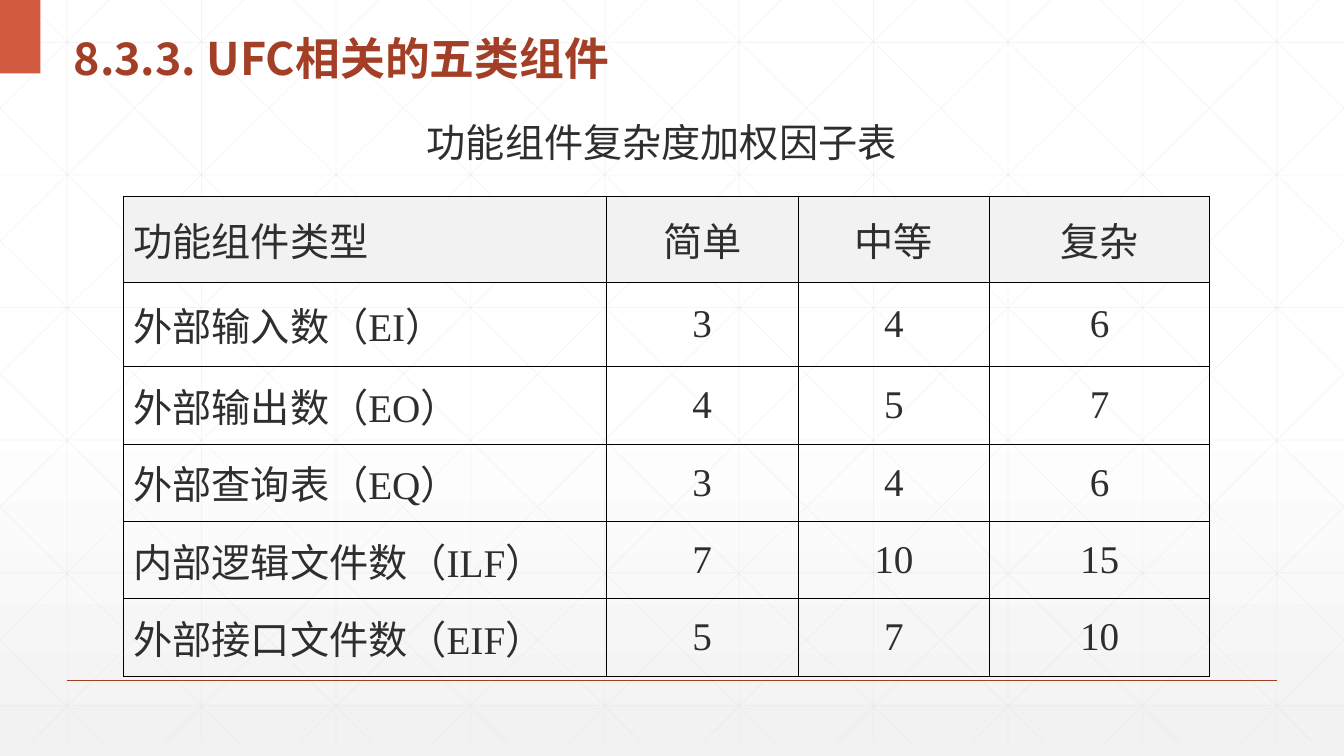
from dataclasses import dataclass

from lxml import etree
from pptx import Presentation
from pptx import util as u
from pptx.dml.color import RGBColor
from pptx.enum import shapes, text
from pptx.oxml import parse_xml
from pptx.oxml.ns import nsdecls, qn

WIDTH, HEIGHT = 33.87, 19.05
SANS, SERIF = "Noto Sans CJK SC", "Times New Roman"
INK, RUST, CORAL, GRID, PALE = "2D2E2D", "A43F27", "D15A3E", "D9D9D9", "F2F2F2"

PITCH = WIDTH / 10  # gap between grid columns
ROW_PITCH = 3.34
GRID_BOTTOM = 18.72
SLANT_START = 0.63  # first diagonal at the top edge
SLANT_RUN = 18.93  # horizontal travel of a full diagonal

HEADER = ("功能组件类型", "简单", "中等", "复杂")
COLUMN_WIDTHS = (12.17, 4.83, 4.83, 5.54)
ROW_HEIGHTS = (2.16, 2.13, 1.95, 1.95, 1.95, 1.95)


@dataclass
class Line:
    x1: float
    y1: float
    x2: float
    y2: float


@dataclass
class Component:
    label: str
    simple: int
    medium: int
    complex: int


COMPONENTS = [
    Component("外部输入数（EI）", 3, 4, 6),
    Component("外部输出数（EO）", 4, 5, 7),
    Component("外部查询表（EQ）", 3, 4, 6),
    Component("内部逻辑文件数（ILF）", 7, 10, 15),
    Component("外部接口文件数（EIF）", 5, 7, 10),
]


def set_color(color_format, value: str) -> None:
    color_format.rgb = RGBColor.from_string(value)


def set_fill(fill, value: str) -> None:
    fill.solid()
    set_color(fill.fore_color, value)


def write(frame, words: str, size: float, font: str, color: str,
          align=text.PP_ALIGN.LEFT, bold: bool = False) -> None:
    frame.text = words
    frame.paragraphs[0].alignment = align
    run = frame.paragraphs[0].runs[0]
    run.font.size, run.font.name, run.font.bold = u.Pt(size), font, bold
    set_color(run.font.color, color)
    run.font.fill  # keeps the colour ahead of the typeface elements
    latin = run.font._element.find(qn("a:latin"))
    latin.addnext(parse_xml(f'<a:ea {nsdecls("a")} typeface="{SANS}"/>'))


def draw_line(parent, line: Line, color: str, width: float, opacity: int = 100) -> None:
    ends = [u.Cm(v) for v in (line.x1, line.y1, line.x2, line.y2)]
    connector = parent.add_connector(shapes.MSO_CONNECTOR.STRAIGHT, *ends)
    set_color(connector.line.color, color)
    connector.line.width = u.Pt(width)
    properties = connector.element.spPr
    if opacity < 100:
        tint = next(properties.iter(qn("a:srgbClr")))
        etree.SubElement(tint, qn("a:alpha")).set("val", str(opacity * 1000))
    etree.SubElement(properties, qn("a:effectLst"))


def slanted(start: float) -> Line:
    """Diagonal from the top edge, clipped to the slide's sides."""
    slope = GRID_BOTTOM / SLANT_RUN
    left, right = max(start, 0), min(start + SLANT_RUN, WIDTH)
    return Line(left, (left - start) * slope, right, (right - start) * slope)


def grid_lines() -> list[Line]:
    columns = [Line(x, 0, x, GRID_BOTTOM) for x in (PITCH * (i + 0.5) for i in range(10))]
    rows = [Line(0, y, WIDTH, y) for y in (1.07 + ROW_PITCH * i for i in range(6))]
    falling = [slanted(SLANT_START + PITCH * i) for i in range(-5, 10)]
    rising = [Line(WIDTH - d.x1, d.y1, WIDTH - d.x2, d.y2) for d in falling]
    return columns + rows + falling + rising


def paint_background(slide) -> None:
    fill = slide.background.fill
    fill.gradient()
    fill.gradient_angle = 270
    stops = next(slide.element.iter(qn("a:gsLst")))
    stops.getparent().replace(stops, parse_xml(
        f'<a:gsLst {nsdecls("a")}>'
        '<a:gs pos="0"><a:srgbClr val="FFFFFF"/></a:gs>'
        '<a:gs pos="53000"><a:srgbClr val="FFFFFF"/></a:gs>'
        f'<a:gs pos="100000"><a:srgbClr val="{PALE}"><a:alpha val="65000"/></a:srgbClr></a:gs>'
        '</a:gsLst>'))


def add_borders(cell) -> None:
    properties = cell._tc.get_or_add_tcPr()
    for side in ("lnL", "lnR", "lnT", "lnB"):
        properties.append(parse_xml(
            f'<a:{side} {nsdecls("a")} w="{u.Pt(0.75)}"><a:solidFill>'
            f'<a:srgbClr val="000000"/></a:solidFill></a:{side}>'))


def add_factor_table(slide) -> None:
    records = [HEADER] + [(c.label, c.simple, c.medium, c.complex) for c in COMPONENTS]
    table = slide.shapes.add_table(
        len(records), len(HEADER), u.Cm(3.11), u.Cm(4.95),
        u.Cm(sum(COLUMN_WIDTHS)), u.Cm(sum(ROW_HEIGHTS))).table
    table.first_row = table.horz_banding = False
    for column, width in zip(table.columns, COLUMN_WIDTHS):
        column.width = u.Cm(width)
    for r, (row, height, record) in enumerate(zip(table.rows, ROW_HEIGHTS, records)):
        row.height = u.Cm(height)
        for c, (cell, value) in enumerate(zip(row.cells, record)):
            align = text.PP_ALIGN.CENTER if c else text.PP_ALIGN.LEFT
            write(cell.text_frame, str(value), 28, SERIF, INK, align)
            cell.vertical_anchor = text.MSO_ANCHOR.MIDDLE
            add_borders(cell)
            if r == 0:
                set_fill(cell.fill, PALE)
            else:
                cell.fill.background()


def main() -> None:
    deck = Presentation()
    deck.slide_width, deck.slide_height = u.Cm(WIDTH), u.Cm(HEIGHT)
    slide = deck.slides.add_slide(deck.slide_layouts[5])

    # Backdrop: gradient, faint grid, footer rule and corner block
    paint_background(slide)
    grid = slide.shapes.add_group_shape()
    for line in grid_lines():
        draw_line(grid.shapes, line, GRID, 0.5, 25)
    draw_line(slide.shapes, Line(PITCH / 2, 17.15, WIDTH - PITCH / 2, 17.15), RUST, 1)
    corner = slide.shapes.add_shape(shapes.MSO_SHAPE.RECTANGLE, 0, 0, u.Cm(1.02), u.Cm(1.85))
    corner.shadow.inherit = False
    set_fill(corner.fill, CORAL)
    corner.line.fill.background()

    # Title, brought in front of the backdrop
    title = slide.shapes.title
    title.element.getparent().append(title.element)
    title.left, title.top, title.width, title.height = map(u.Cm, (1.6, 0.33, 20.83, 1.85))
    write(title.text_frame, "8.3.3. UFC相关的五类组件", 32, SANS, RUST, bold=True)
    title.text_frame.vertical_anchor = text.MSO_ANCHOR.MIDDLE
    title.text_frame.auto_size = text.MSO_AUTO_SIZE.NONE
    title.text_frame.paragraphs[0].line_spacing = 1.3

    # Caption and weighting table
    caption = slide.shapes.add_textbox(*map(u.Cm, (10.11, 2.84, 13.13, 1.45))).text_frame
    caption.word_wrap = True
    caption.auto_size = text.MSO_AUTO_SIZE.SHAPE_TO_FIT_TEXT
    caption.vertical_anchor = text.MSO_ANCHOR.MIDDLE
    write(caption, "功能组件复杂度加权因子表", 28, SANS, INK, text.PP_ALIGN.CENTER)
    add_factor_table(slide)

    deck.save("out.pptx")


if __name__ == "__main__":
    main()
